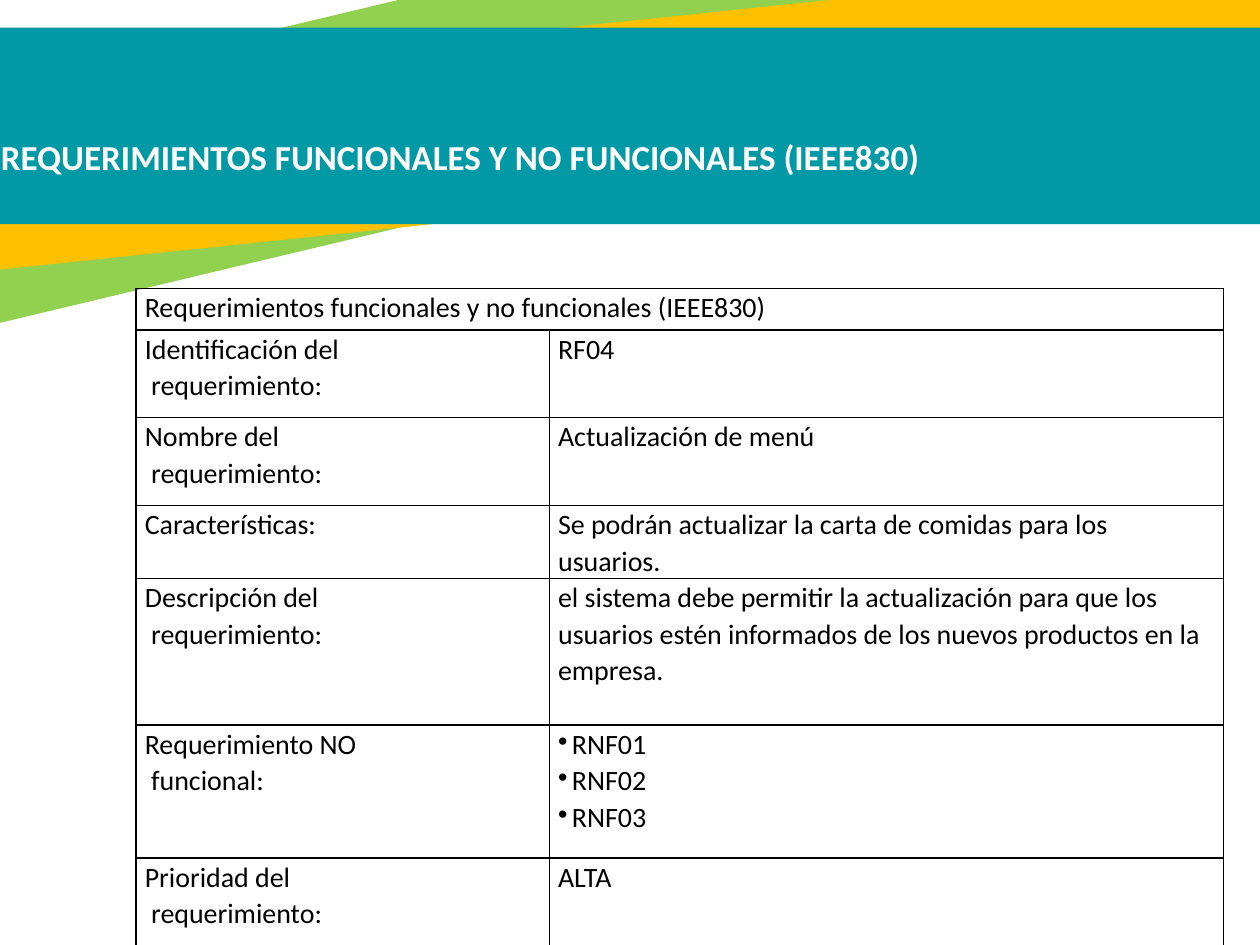
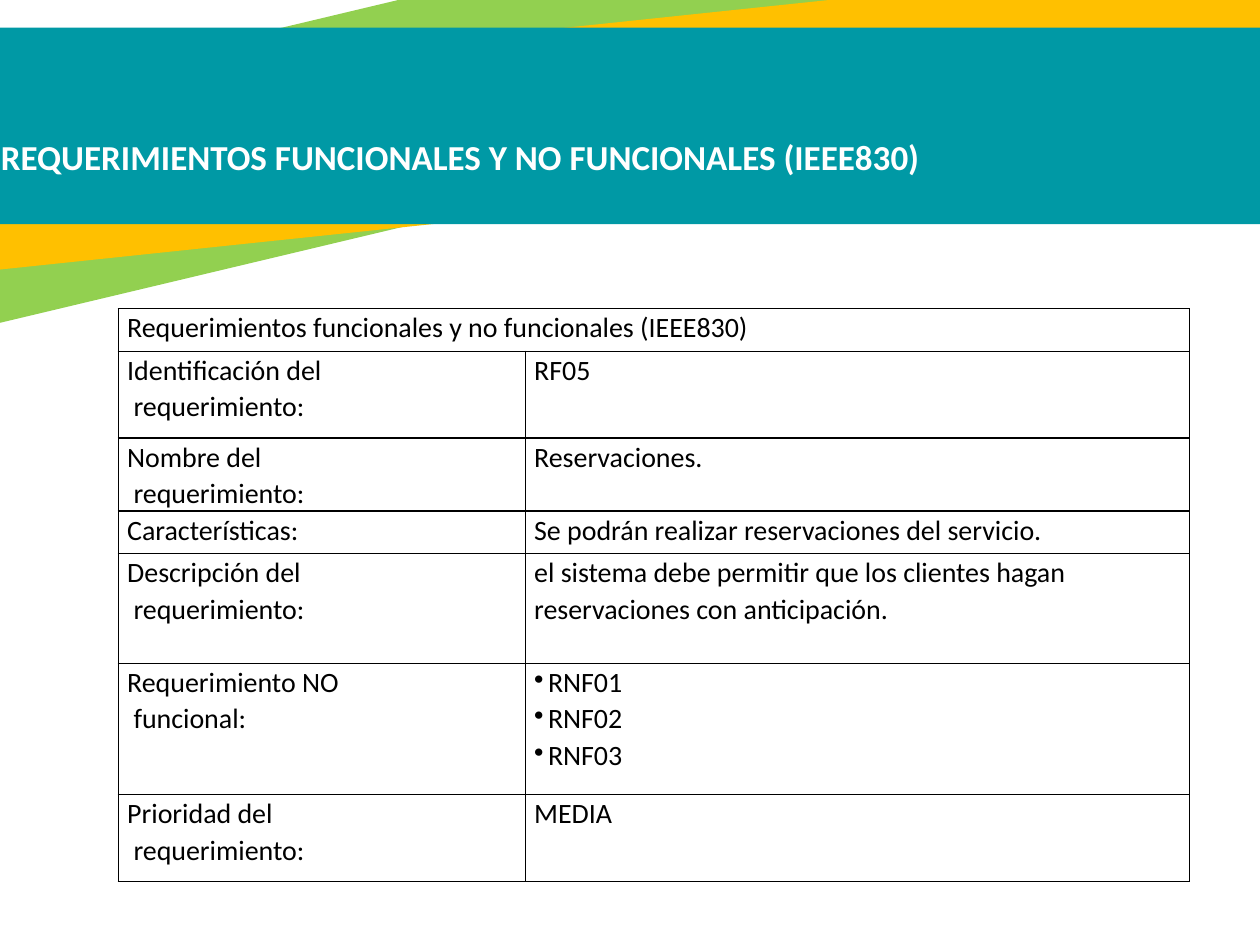
from lxml.etree import SubElement
from pptx import Presentation
from pptx.dml.color import RGBColor
from pptx.enum.shapes import MSO_SHAPE as SHAPE
from pptx.oxml import parse_xml
from pptx.oxml.ns import nsdecls, qn
from pptx.util import Inches, Pt

GREEN = RGBColor(0x92, 0xD0, 0x50)
AMBER = RGBColor(0xFF, 0xC0, 0x00)
TEAL = RGBColor(0x00, 0x99, 0xA5)
WHITE = RGBColor(0xFF, 0xFF, 0xFF)
BLACK = RGBColor(0x00, 0x00, 0x00)
FONT = "Calibri"

prs = Presentation()
prs.slide_width, prs.slide_height = Inches(10), Inches(7.5)
COL, ROW = prs.slide_width / 100, prs.slide_height / 100


def grid(left, top, width, height):
    return int(left * COL), int(top * ROW), int(width * COL), int(height * ROW)


def write(tf, text, size=16, color=BLACK, bold=False, spacing=None, bullet=False):
    tf.word_wrap = True
    for i, line in enumerate(text.split("\n")):
        p = tf.paragraphs[0] if i == 0 else tf.add_paragraph()
        p.line_spacing = spacing
        r = p.add_run()
        r.text = line
        r.font.name, r.font.size, r.font.bold = FONT, Pt(size), bold
        r.font.color.rgb = color
        if bullet:
            pPr = p._p.get_or_add_pPr()
            pPr.set("marL", str(Inches(0.11)))
            pPr.set("indent", str(-Inches(0.11)))
            SubElement(pPr, qn("a:buChar")).set("char", "•")


TITLE = "REQUERIMIENTOS FUNCIONALES Y NO FUNCIONALES (IEEE830)"
BANDS = [
    (GREEN, (-25.1, -2.4, 130.6, 23.47), 346.6),
    (AMBER, (-11, 2.67, 116.3, 19.2), 354),
    (TEAL, (-10.6, 2.93, 116.3, 20.8), 0),
]
HEADING = "Requerimientos funcionales y no funcionales (IEEE830)"
LABELS = [
    "Identificación del\n requerimiento:",
    "Nombre del\n requerimiento:",
    "Características:",
    "Descripción del\n requerimiento:",
    "Requerimiento NO\n funcional:",
    "Prioridad del\n requerimiento:",
]
NON_FUNCTIONAL = "RNF01\nRNF02\nRNF03"
REQUIREMENTS = [
    {
        "corner": (10.8, 30.53),
        "cols": (32.8, 53.5),
        "rows": (4.4, 9.27, 9.3, 7.73, 15.53, 14.07, 9.3),
        "values": [
            "RF04",
            "Actualización de menú",
            "Se podrán actualizar la carta de comidas para los usuarios.",
            "el sistema debe permitir la actualización para que los usuarios "
            "estén informados de los nuevos productos en la empresa.",
            NON_FUNCTIONAL,
            "ALTA",
        ],
    },
    {
        "corner": (9.4, 32.67),
        "cols": (32.3, 52.7),
        "rows": (4.5, 9.2, 7.73, 4.5, 11.6, 13.9, 9.2),
        "values": [
            "RF05",
            "Reservaciones.",
            "Se podrán realizar reservaciones del servicio.",
            "el sistema debe permitir que los clientes hagan "
            "reservaciones con anticipación.",
            NON_FUNCTIONAL,
            "MEDIA",
        ],
    },
]

for req in REQUIREMENTS:
    s = prs.slides.add_slide(prs.slide_layouts[6])

    for color, place, angle in BANDS:
        sp = s.shapes.add_shape(SHAPE.RECTANGLE, *grid(*place))
        sp.rotation = angle
        sp.shadow.inherit = False
        sp.fill.solid()
        sp.fill.fore_color.rgb = color
        sp.line.fill.background()

    title = s.shapes.add_textbox(*grid(-0.9, 13.73, 81, 5.87))
    write(title.text_frame, TITLE, size=20, color=WHITE, bold=True)

    cols, rows = req["cols"], req["rows"]
    place = grid(*req["corner"], sum(cols), sum(rows))
    table = s.shapes.add_table(len(rows), len(cols), *place).table
    table.first_row = table.horz_banding = False
    for column, width in zip(table.columns, cols):
        column.width = int(width * COL)
    for row, height in zip(table.rows, rows):
        row.height = int(height * ROW)
    table.cell(0, 0).merge(table.cell(0, 1))

    for cell in (c for row in table.rows for c in row.cells):
        cell.margin_left = cell.margin_right = Inches(0.07)
        cell.margin_top = cell.margin_bottom = 0
        cell.fill.background()
        for i, side in enumerate(("lnL", "lnR", "lnT", "lnB")):
            border = parse_xml(
                f'<a:{side} {nsdecls("a")} w="{Pt(1)}"><a:solidFill>'
                f'<a:srgbClr val="{BLACK}"/></a:solidFill></a:{side}>'
            )
            cell._tc.get_or_add_tcPr().insert(i, border)

    write(table.cell(0, 0).text_frame, HEADING, spacing=1.07)
    for i, (label, value) in enumerate(zip(LABELS, req["values"]), start=1):
        write(table.cell(i, 0).text_frame, label, spacing=1.07)
        write(table.cell(i, 1).text_frame, value, spacing=1.07,
              bullet=value == NON_FUNCTIONAL)

prs.save("out.pptx")
